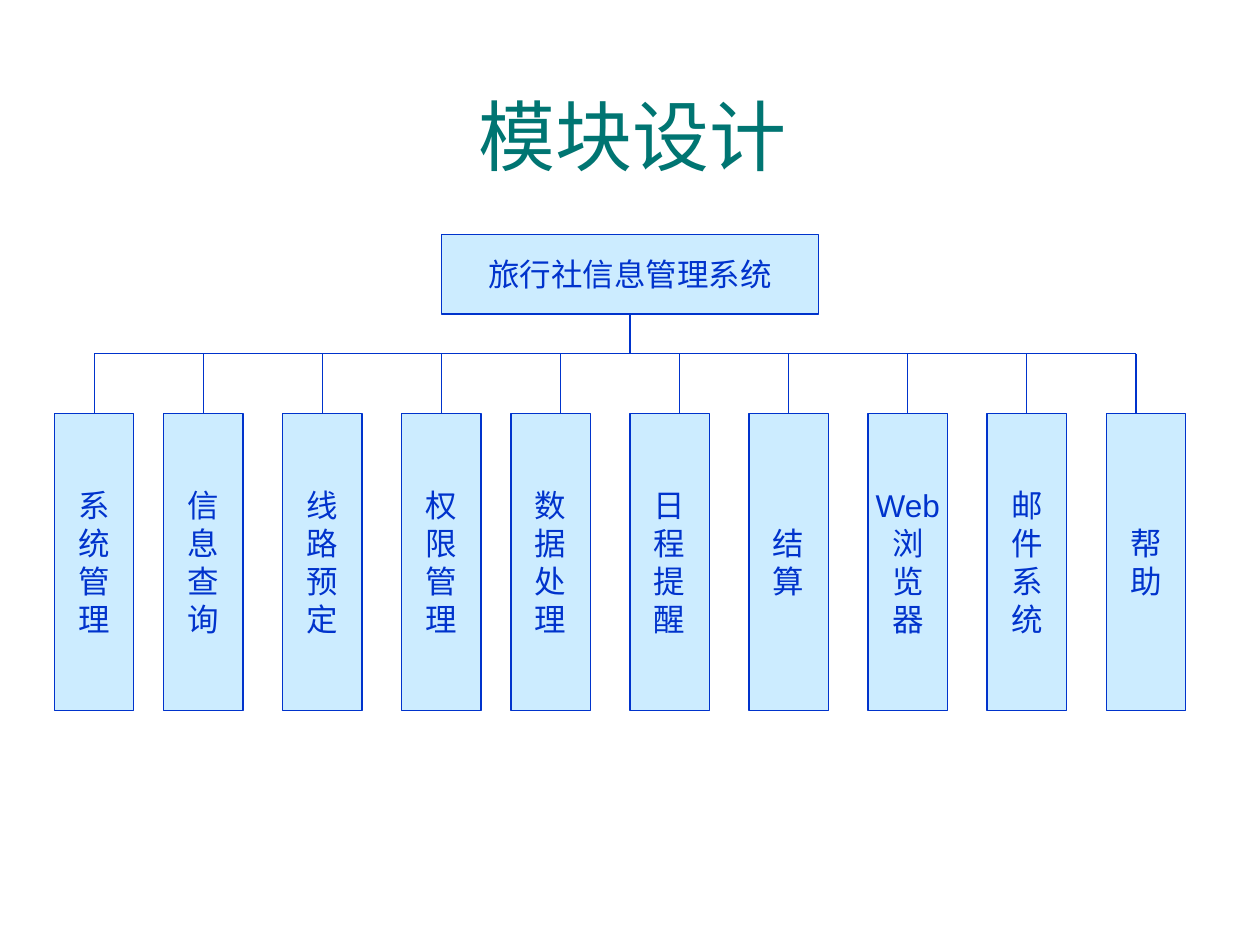
from itertools import accumulate

from lxml.etree import SubElement
from pptx import Presentation
from pptx.dml.color import RGBColor
from pptx.enum.shapes import MSO_CONNECTOR, MSO_SHAPE
from pptx.enum.text import MSO_ANCHOR, PP_ALIGN
from pptx.oxml.ns import qn
from pptx.util import Inches, Pt

# The slide is 127 grid units wide; rows use the same unit
UNIT = Inches(10) / 127
TOP, BOTTOM = 0, 2


def grid(*lengths):
    return [round(length * UNIT) for length in lengths]


def color(hex_string):
    return RGBColor.from_string(hex_string)


class ModuleChart:
    font = "Arial"
    title_color = "007572"
    ink = "0033CC"
    box_fill = "CCECFF"
    line_width = Pt(0.75)

    def __init__(self, slide):
        self.slide = slide

    def set_text(self, shape, text, size, text_color, wrap):
        text_frame = shape.text_frame
        text_frame.text = text
        text_frame.word_wrap = wrap
        text_frame.vertical_anchor = MSO_ANCHOR.MIDDLE
        for paragraph in text_frame.paragraphs:
            paragraph.alignment = PP_ALIGN.CENTER
            for run in paragraph.runs:
                run.font.name = self.font
                run.font.size = Pt(size)
                run.font.color.rgb = color(text_color)

    def title(self, text, left, top, width, height):
        shape = self.slide.shapes.add_textbox(*grid(left, top, width, height))
        self.set_text(shape, text, 44, self.title_color, True)

    def box(self, text, left, top, width, height):
        shape = self.slide.shapes.add_shape(
            MSO_SHAPE.RECTANGLE, *grid(left, top, width, height))
        shape.shadow.inherit = False
        shape.fill.solid()
        shape.fill.fore_color.rgb = color(self.box_fill)
        shape.line.color.rgb = color(self.ink)
        shape.line.width = self.line_width
        self.set_text(shape, text, 18, self.ink, False)
        return shape

    def line(self, x1, y1, x2, y2):
        connector = self.slide.shapes.add_connector(
            MSO_CONNECTOR.STRAIGHT, *grid(x1, y1, x2, y2))
        connector.line.color.rgb = color(self.ink)
        connector.line.width = self.line_width
        SubElement(connector._element.spPr, qn("a:effectLst"))
        return connector


def main():
    presentation = Presentation()
    presentation.slide_width, presentation.slide_height = Inches(10), Inches(7.5)
    slide = presentation.slides.add_slide(presentation.slide_layouts[6])
    chart = ModuleChart(slide)

    # Title and root system
    chart.title("模块设计", 4.5, 5.6, 118.6, 15.9)
    center, root_top, root_width, root_height = 63.5, 23.65, 38, 8
    root = chart.box("旅行社信息管理系统", center - root_width / 2,
                     root_top, root_width, root_height)

    # Modules: letters stacked, and the shift of each drop from the box centre
    modules = [
        ("系\n统\n管\n理", 0), ("信\n息\n查\n询", 0), ("线\n路\n预\n定", 0),
        ("权\n限\n管\n理", 0), ("数\n据\n处\n理", 1), ("日\n程\n提\n醒", 1),
        ("结\n算", 0), ("Web\n浏\n览\n器", 0), ("邮\n件\n系\n统", 0),
        ("帮\n助", -1),
    ]
    steps = [11, 12, 12, 11, 12, 12, 12, 12, 12]
    lefts = list(accumulate(steps, initial=5.5))
    box_width, box_height = 8, 30
    root_bottom = root_top + root_height
    bus_y = root_bottom + 4
    box_top = bus_y + 6
    boxes = [chart.box(text, left, box_top, box_width, box_height)
             for (text, _), left in zip(modules, lefts)]

    # Stem and horizontal bus
    drops = [left + box_width / 2 + shift
             for (_, shift), left in zip(modules, lefts)]
    stem = chart.line(center, root_bottom, center, bus_y)
    stem.begin_connect(root, BOTTOM)
    chart.line(drops[0], bus_y, drops[-1], bus_y)

    # Drops, joined where they meet the middle of a box
    for (_, shift), x, box in zip(modules, drops, boxes):
        drop = chart.line(x, bus_y, x, box_top)
        if shift == 0:
            drop.end_connect(box, TOP)

    presentation.save("out.pptx")


if __name__ == "__main__":
    main()
